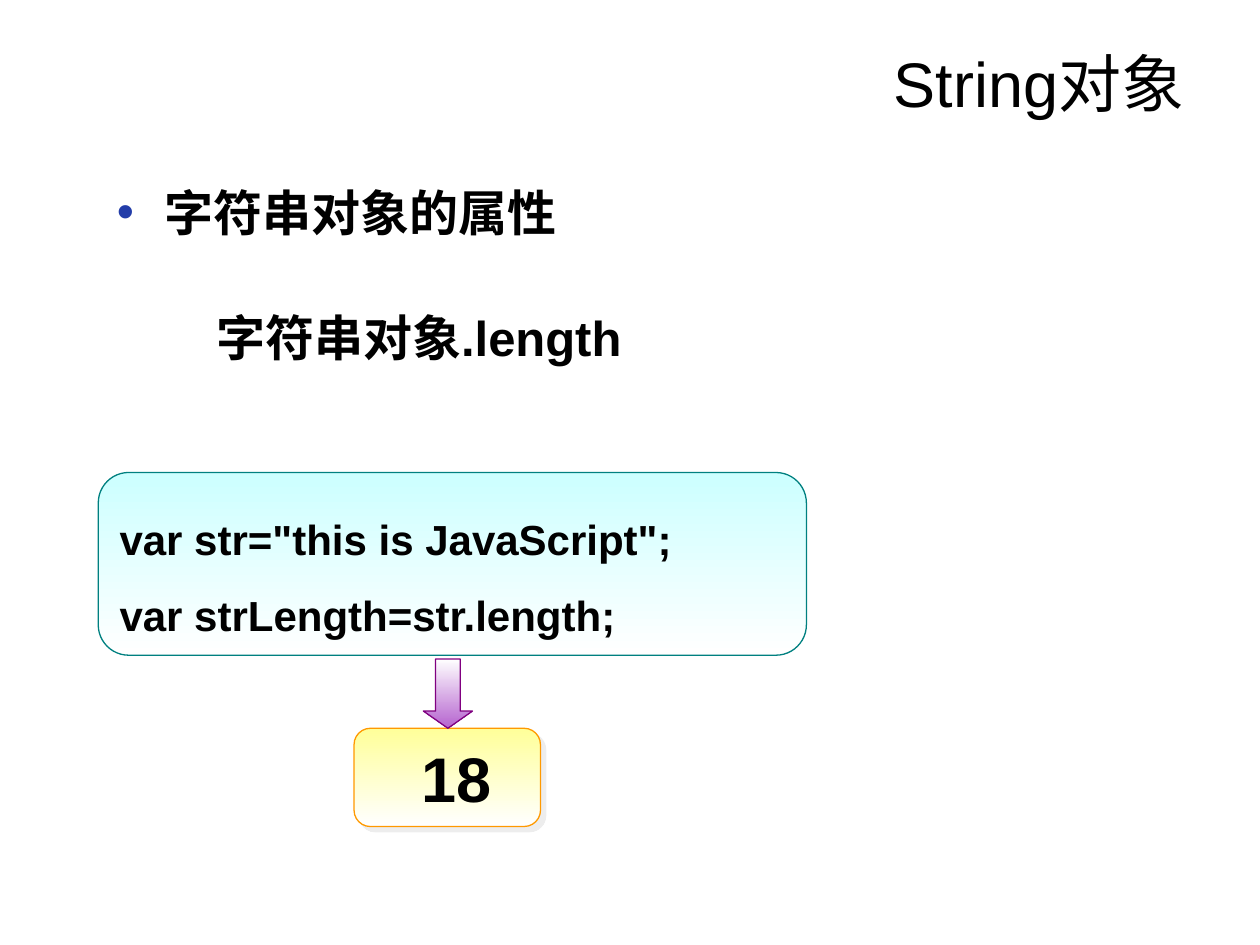
from dataclasses import dataclass

from lxml.etree import SubElement
from pptx import Presentation
from pptx.dml.color import RGBColor
from pptx.enum.shapes import MSO_SHAPE
from pptx.enum.text import MSO_ANCHOR, PP_ALIGN
from pptx.oxml.ns import qn
from pptx.util import Inches, Pt


@dataclass(frozen=True)
class Theme:
    font: str = "Arial"
    text: str = "000000"
    white: str = "FFFFFF"
    bullet: str = "233DA9"
    code_fill: str = "CCFFFF"
    code_line: str = "008080"
    result_fill: str = "FFFF99"
    result_line: str = "FF9900"
    arrow_fill: str = "B563CF"
    arrow_line: str = "800080"
    shadow: str = "DDDDDD"
    large: int = 36
    body: int = 28
    code: int = 24
    outline: float = 0.75


THEME = Theme()


def add_run(para, text, size, bold=True):
    span = para.add_run()
    span.text = text
    span.font.name = THEME.font
    span.font.size = Pt(size)
    span.font.bold = bold
    span.font.color.rgb = RGBColor.from_string(THEME.text)


def set_indent(para, left, hanging=0.0):
    properties = para._p.get_or_add_pPr()
    properties.set("marL", str(Inches(left)))
    properties.set("indent", str(-Inches(hanging)))
    return properties


def add_bullet(para):
    properties = set_indent(para, 0.38, 0.38)
    colour = SubElement(properties, qn("a:buClr"))
    SubElement(colour, qn("a:srgbClr"), val=THEME.bullet)
    SubElement(properties, qn("a:buFont"), typeface=THEME.font)
    SubElement(properties, qn("a:buChar"), char="•")


def set_title(page, text):
    title = page.shapes.title
    title.left, title.top = Inches(0.5), Inches(0.3)
    title.width, title.height = Inches(9), Inches(1.25)
    title.text_frame.vertical_anchor = MSO_ANCHOR.TOP
    para = title.text_frame.paragraphs[0]
    para.alignment = PP_ALIGN.RIGHT
    add_run(para, text, THEME.large, bold=False)


def add_body(page, heading, syntax):
    box = page.shapes.add_textbox(Inches(0.83), Inches(1.4), Inches(8.67), Inches(1.42))
    frame = box.text_frame
    frame.word_wrap = True
    para = frame.paragraphs[0]
    add_bullet(para)
    add_run(para, heading, THEME.body)
    para = frame.add_paragraph()
    set_indent(para, 0.79)
    para.space_before = Pt(38)
    add_run(para, syntax, THEME.body)


def add_gradient_shape(page, kind, left, top, width, height, colours, line):
    shape = page.shapes.add_shape(
        kind, Inches(left), Inches(top), Inches(width), Inches(height))
    shape.shadow.inherit = False
    shape.fill.gradient()
    shape.fill.gradient_angle = 270  # top to bottom
    for stop, position, colour in zip(shape.fill.gradient_stops, (0, 1), colours):
        stop.position = position
        stop.color.rgb = RGBColor.from_string(colour)
    shape.line.color.rgb = RGBColor.from_string(line)
    shape.line.width = Pt(THEME.outline)
    return shape


def fill_text(shape, lines, size, alignment, spacing=1.0):
    frame = shape.text_frame
    frame.word_wrap = True
    frame.vertical_anchor = MSO_ANCHOR.MIDDLE
    for number, text in enumerate(lines):
        para = frame.add_paragraph() if number else frame.paragraphs[0]
        para.alignment = alignment
        para.line_spacing = spacing
        add_run(para, text, size)


def add_shadow(shape):
    effects = shape._element.spPr.find(qn("a:effectLst"))
    shadow = SubElement(effects, qn("a:outerShdw"), blurRad="0",
                        dist=str(Pt(4.2)), dir="2700000", algn="ctr", rotWithShape="0")
    colour = SubElement(shadow, qn("a:srgbClr"), val=THEME.shadow)
    SubElement(colour, qn("a:alpha"), val="50000")


def main():
    deck = Presentation()
    deck.slide_width, deck.slide_height = Inches(10), Inches(7.5)
    page = deck.slides.add_slide(deck.slide_layouts[5])

    # Title and property syntax
    set_title(page, "String对象")
    add_body(page, "字符串对象的属性", "字符串对象.length")

    # Code example
    code = add_gradient_shape(page, MSO_SHAPE.ROUNDED_RECTANGLE, 0.78, 3.75, 5.62, 1.45,
                              (THEME.code_fill, THEME.white), THEME.code_line)
    fill_text(code, ('var str="this is JavaScript";', "var strLength=str.length;"),
              THEME.code, PP_ALIGN.LEFT, spacing=1.5)

    # Result, set slightly right of centre
    result = add_gradient_shape(page, MSO_SHAPE.ROUNDED_RECTANGLE, 2.81, 5.78, 1.48, 0.78,
                                (THEME.result_fill, THEME.white), THEME.result_line)
    add_shadow(result)
    fill_text(result, ("18",), THEME.large, PP_ALIGN.CENTER)
    result.text_frame.margin_left = Inches(0.24)

    # Arrow from code to result
    arrow = add_gradient_shape(page, MSO_SHAPE.DOWN_ARROW, 3.36, 5.23, 0.39, 0.55,
                               (THEME.white, THEME.arrow_fill), THEME.arrow_line)
    arrow.adjustments[1] = 0.35

    deck.save("out.pptx")


if __name__ == "__main__":
    main()
